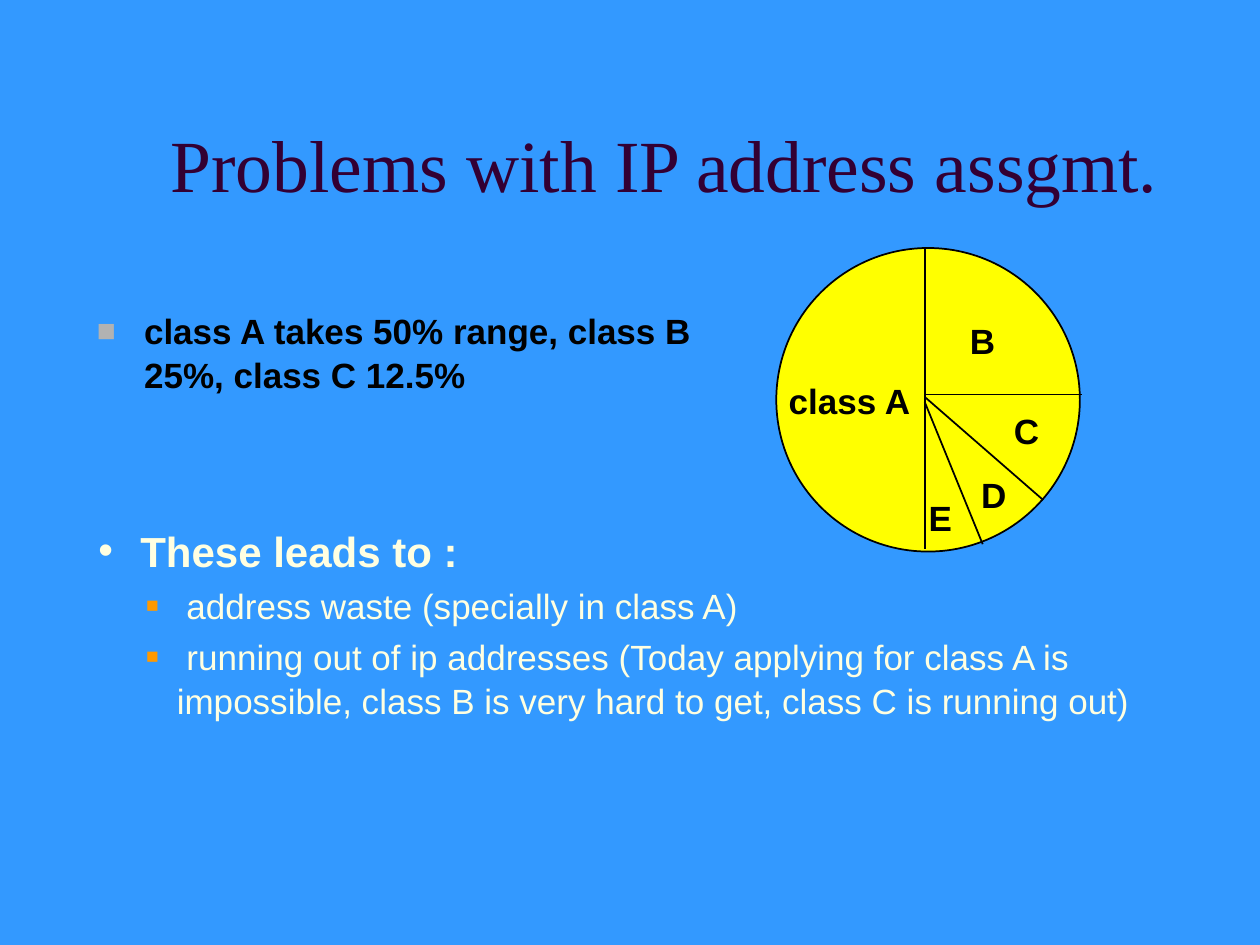
from dataclasses import dataclass
from typing import NamedTuple, Optional

from lxml.etree import SubElement
from pptx import Presentation
from pptx.dml.color import RGBColor as RGB
from pptx.enum.shapes import MSO_CONNECTOR as Connector, MSO_SHAPE as Shape
from pptx.enum.text import MSO_ANCHOR as Anchor, MSO_AUTO_SIZE as AutoSize, PP_ALIGN as Align
from pptx.oxml.ns import qn
from pptx.util import Cm, Pt


@dataclass(frozen=True)
class Theme:
    """Colours, fonts and type sizes of the slide."""
    background: RGB = RGB(0x33, 0x99, 0xFF)
    title: RGB = RGB(0x33, 0x00, 0x33)
    dark: RGB = RGB(0, 0, 0)
    light: RGB = RGB(0xFF, 0xFF, 0xE1)
    pie: RGB = RGB(0xFF, 0xFF, 0x00)
    grey_bullet: str = "B2B2B2"
    light_bullet: str = "FFFFE1"
    orange_bullet: str = "FF9900"
    title_font: str = "Times New Roman"
    text_font: str = "Arial"
    title_size: int = 42
    lead_size: int = 24
    text_size: int = 20


class Box(NamedTuple):
    """A frame in centimetres."""
    left: float
    top: float
    width: float
    height: float


class Bullet(NamedTuple):
    """A bullet with its hanging indent in centimetres."""
    char: str
    color: str
    percent: int
    margin: float
    hanging: float


class Item(NamedTuple):
    """One paragraph of text."""
    text: str
    size: int
    color: RGB
    bold: bool = True
    font: str = Theme.text_font
    bullet: Optional[Bullet] = None
    level: int = 0


class Divider(NamedTuple):
    """A line between two sectors, in centimetres."""
    x1: float
    y1: float
    x2: float
    y2: float


class Sector(NamedTuple):
    """The label of a sector and its corner."""
    text: str
    left: float
    top: float
    width: float = 1.02


THEME = Theme()
FACT = Bullet("■", THEME.grey_bullet, 90, 0.95, 0.95)
LEAD = Bullet("•", THEME.light_bullet, 100, 0.61, 0.61)
EFFECT = Bullet("■", THEME.orange_bullet, 60, 1.58, 0.62)

TITLE = Item("Problems with IP address assgmt. ", THEME.title_size, THEME.title, False,
             THEME.title_font)
FACTS = [Item("class A takes 50% range, class B 25%, class C 12.5%",
              THEME.text_size, THEME.dark, bullet=FACT)]
EFFECTS = [Item(" These leads to :", THEME.lead_size, THEME.light, bullet=LEAD)] + [
    Item(text, THEME.text_size, THEME.light, False, bullet=EFFECT, level=1)
    for text in (
        " address waste (specially in class A)",
        " running out of ip addresses (Today applying for class A is impossible, "
        "class B is very hard to get, class C is running out)",
    )
]

PIE = Box(15.65, 5, 6.12, 6.12)
HUB_X = 18.64
DIVIDERS = [
    Divider(HUB_X, 4.98, HUB_X, 11.07),
    Divider(HUB_X, 7.95, 21.82, 7.95),
    Divider(HUB_X, 8, 21.03, 10.08),
    Divider(HUB_X, 8.1, 19.81, 10.97),
]
SECTORS = [
    Sector("class A", 15.65, 7.52, 2.97),
    Sector("B", 19.3, 6.32),
    Sector("C", 20.19, 8.13),
    Sector("D", 19.53, 9.42),
    Sector("E", 18.47, 9.88),
]
LABEL_HEIGHT = 1.09


def add_bullet(paragraph, bullet: Bullet) -> None:
    """Give a paragraph its bullet and hanging indent."""
    props = paragraph._p.get_or_add_pPr()
    props.set("marL", str(Cm(bullet.margin)))
    props.set("indent", str(-Cm(bullet.hanging)))
    color = SubElement(props, qn("a:buClr"))
    SubElement(color, qn("a:srgbClr"), val=bullet.color)
    SubElement(props, qn("a:buSzPct"), val=str(bullet.percent * 1000))
    SubElement(props, qn("a:buFont"), typeface=THEME.text_font)
    SubElement(props, qn("a:buChar"), char=bullet.char)


def write(frame, items: list[Item], wrap: bool = True, anchor: Anchor = Anchor.TOP) -> None:
    """Fill a text frame with items."""
    frame_format = {"word_wrap": wrap, "auto_size": AutoSize.NONE, "vertical_anchor": anchor}
    for key, value in frame_format.items():
        setattr(frame, key, value)
    for index, item in enumerate(items):
        paragraph = frame.add_paragraph() if index else frame.paragraphs[0]
        paragraph.alignment = Align.LEFT
        paragraph.level = item.level
        if item.bullet:
            paragraph.line_spacing = 1.05
            paragraph.space_before = Pt(item.size * 0.2 if index else 0)
            add_bullet(paragraph, item.bullet)
        run = paragraph.add_run()
        run.text = item.text
        font_format = {"name": item.font, "size": Pt(item.size), "bold": item.bold}
        for key, value in font_format.items():
            setattr(run.font, key, value)
        run.font.color.rgb = item.color


def place(shape, box: Box) -> None:
    """Move and size a placeholder."""
    for key, value in box._asdict().items():
        setattr(shape, key, Cm(value))


def outline(shape) -> None:
    """Give a shape or connector the thin dark line."""
    shape.line.color.rgb = THEME.dark
    shape.line.width = Pt(1)


def draw_pie(shapes) -> None:
    """Draw the disc, its dividers and its labels."""
    disc = shapes.add_shape(Shape.OVAL, *map(Cm, PIE))
    disc.shadow.inherit = False
    disc.fill.solid()
    disc.fill.fore_color.rgb = THEME.pie
    outline(disc)
    for divider in DIVIDERS:
        line = shapes.add_connector(Connector.STRAIGHT, *map(Cm, divider))
        outline(line)
        SubElement(line._element.spPr, qn("a:effectLst"))
    for sector in SECTORS:
        label = shapes.add_textbox(Cm(sector.left), Cm(sector.top),
                                   Cm(sector.width), Cm(LABEL_HEIGHT))
        write(label.text_frame, [Item(sector.text, THEME.text_size, THEME.dark)], wrap=False)


def build() -> None:
    """Build and save the slide."""
    deck = Presentation()
    deck.slide_width, deck.slide_height = Cm(25.4), Cm(19.05)
    slide = deck.slides.add_slide(deck.slide_layouts.get_by_name("Two Content"))
    slide.background.fill.solid()
    slide.background.fill.fore_color.rgb = THEME.background

    title, facts, effects = slide.placeholders
    place(title, Box(3.18, 1.7, 21.64, 3.18))
    write(title.text_frame, [TITLE], anchor=Anchor.MIDDLE)
    place(facts, Box(1.7, 6.07, 13.67, 3.12))
    write(facts.text_frame, FACTS)
    place(effects, Box(1.73, 10.41, 22.66, 4.14))
    write(effects.text_frame, EFFECTS)
    draw_pie(slide.shapes)
    deck.save("out.pptx")


build()
